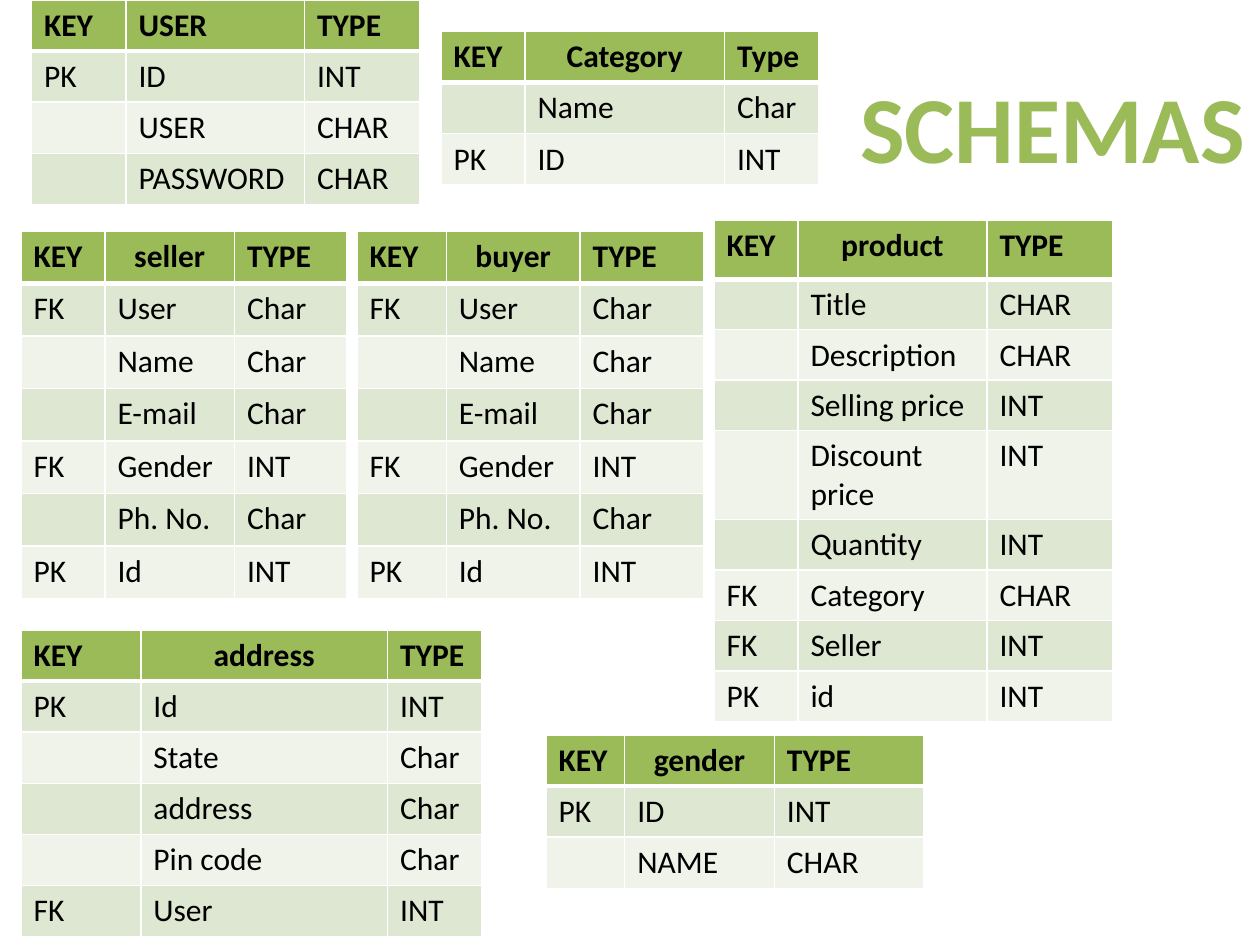
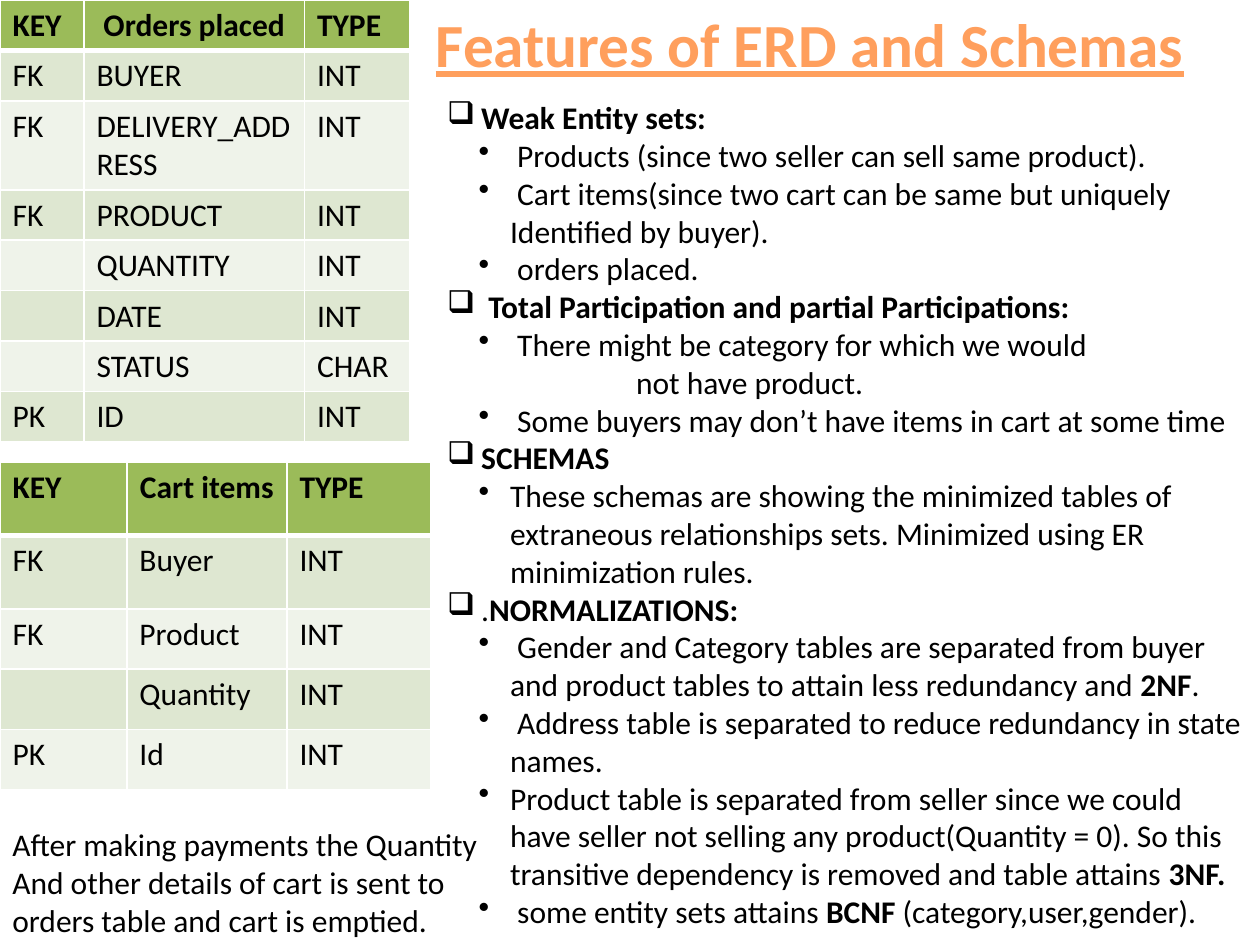
from lxml import etree
from pptx import Presentation
from pptx.dml.color import RGBColor
from pptx.enum import text as t
from pptx.oxml import ns
from pptx.util import Pt

COLORS = {
    "header": "9BBB59", "odd": "DEE7D1", "even": "EFF3EA", "border": "FFFFFF",
    "ink": "000000", "glow": "FFA367", "mid": "FF9F5D", "deep": "F38E3A",
}
FONT = "Calibri"


def style(paragraph, size=18, bold=None, color="ink"):
    for run in paragraph.runs:
        run.font.name = FONT
        run.font.size = Pt(size)
        run.font.color.rgb = RGBColor.from_string(COLORS[color])
        if bold is not None:
            run.font.bold = bold


def add_schema(slide, left, top, widths, heights, fields, name_align=t.PP_ALIGN.CENTER):
    schema = slide.shapes.add_table(len(fields), len(widths), Pt(left), Pt(top),
                                    Pt(sum(widths)), Pt(sum(heights))).table
    for column, width in zip(schema.columns, widths):
        column.width = Pt(width)
    for row, height in zip(schema.rows, heights):
        row.height = Pt(height)
    for r, field in enumerate(fields):
        band = "header" if r == 0 else "odd" if r % 2 else "even"
        for c, value in enumerate(field.split("|")):
            cell = schema.cell(r, c)
            props = cell._tc.get_or_add_tcPr()
            for side in ("lnL", "lnR", "lnT", "lnB"):
                heavy = (r == 0 and side == "lnB") or (r == 1 and side == "lnT")
                line = etree.SubElement(props, ns.qn(f"a:{side}"), w=str(Pt(3 if heavy else 1)))
                fill = etree.SubElement(line, ns.qn("a:solidFill"))
                etree.SubElement(fill, ns.qn("a:srgbClr"), val=COLORS["border"])
            cell.fill.solid()
            cell.fill.fore_color.rgb = RGBColor.from_string(COLORS[band])
            label = cell.text_frame.paragraphs[0]
            label.text = value
            style(label, bold=r == 0)
            if r == 0 and c == 1:
                label.alignment = name_align


deck = Presentation()
deck.slide_width, deck.slide_height = Pt(720), Pt(540)

pages = []
for heading, left, top, width, height, size, color in (
    ("SCHEMAS", 483, 36, 237, 72.7, 54, "header"),
    ("Features of ERD and Schemas", 240, 0, 445.7, 49.7, 35, "glow"),
):
    page = deck.slides.add_slide(deck.slide_layouts[5])
    title = page.shapes.title
    title.left, title.top, title.width, title.height = Pt(left), Pt(top), Pt(width), Pt(height)
    title.text_frame.text = heading
    title.text_frame.word_wrap = False
    title.text_frame.auto_size = t.MSO_AUTO_SIZE.SHAPE_TO_FIT_TEXT
    title.text_frame.vertical_anchor = t.MSO_ANCHOR.TOP
    title.text_frame.paragraphs[0].alignment = t.PP_ALIGN.CENTER
    style(title.text_frame.paragraphs[0], size, True, color)
    pages.append(page)
schemas, features = pages

features_run = features.shapes.title.text_frame.paragraphs[0].runs[0]
features_run.font.underline = True
features_run.font.fill.gradient()
features_run.font.fill.gradient_angle = 270
stops = features_run._r.get_or_add_rPr().find(".//" + ns.qn("a:gsLst"))
for stop in list(stops):
    stops.remove(stop)
for i, shade in enumerate(("glow", "mid", "deep", "mid", "glow")):
    stop = etree.SubElement(stops, ns.qn("a:gs"), pos=str(i * 25000))
    etree.SubElement(stop, ns.qn("a:srgbClr"), val=COLORS[shade])

person = ["FK|User|Char", "|Name|Char", "|E-mail|Char", "FK|Gender|INT",
          "|Ph. No.|Char", "PK|Id|INT"]
add_schema(schemas, 12, 360, (68.5, 141, 54), [29.2] * 6,
           ["KEY|address|TYPE", "PK|Id|INT", "|State|Char", "|address|Char",
            "|Pin code|Char", "FK|User|INT"])
add_schema(schemas, 12, 132, (48, 74, 64), [30] * 7, ["KEY|seller|TYPE"] + person)
add_schema(schemas, 204, 132, (51, 76.5, 70.5), [30] * 7, ["KEY|buyer|TYPE"] + person)
add_schema(schemas, 18, 0, (54, 102, 66), [29.2] * 4,
           ["KEY|USER|TYPE", "PK|ID|INT", "|USER|CHAR", "|PASSWORD|CHAR"], t.PP_ALIGN.LEFT)
add_schema(schemas, 252, 18, (48, 114, 54), [29.2] * 3,
           ["KEY|Category|Type", "|Name|Char", "PK|ID|INT"])
add_schema(schemas, 408, 126, (48, 108, 72), [33.6] + [28.8] * 3 + [50.8] + [28.8] * 4,
           ["KEY|product|TYPE", "|Title|CHAR", "|Description|CHAR", "|Selling price|INT",
            "|Discount price|INT", "|Quantity|INT", "FK|Category|CHAR", "FK|Seller|INT",
            "PK|id|INT"])
add_schema(schemas, 312, 420, (45, 85.5, 85.5), [29.2] * 3,
           ["KEY|gender|TYPE", "PK|ID|INT", "|NAME|CHAR"])

add_schema(features, 0, 264, (72.5, 91.5, 82), [42] * 2 + [34.4] * 3,
           ["KEY|Cart items|TYPE", "FK|Buyer|INT", "FK|Product|INT", "|Quantity|INT",
            "PK|Id|INT"])
add_schema(features, 0, 0, (48, 126, 60), [28.8] * 2 + [50.8] + [28.8] * 5,
           ["KEY|Orders placed|TYPE", "FK|BUYER|INT", "FK|DELIVERY_ADDRESS|INT",
            "FK|PRODUCT|INT", "|QUANTITY|INT", "|DATE|INT", "|STATUS|CHAR", "PK|ID|INT"])

INDENTS = {"❑": (19.5, -19.5), "•": (36, -18), "": (36, 0), "deeper": (108, 0)}
points = (
    ("❑", "*Weak Entity sets:"),
    ("•", " Products (since two seller can sell same product)."),
    ("•", " Cart items(since two cart can be same but uniquely"),
    ("", "Identified by buyer)."),
    ("•", " orders placed."),
    ("❑", " *Total Participation and partial Participations:"),
    ("•", " There might be category for which we would"),
    ("deeper", "not have product."),
    ("•", " Some buyers may don’t have items in cart at some time"),
    ("❑", "*SCHEMAS"),
    ("•", "These schemas are showing the minimized tables of extraneous relationships sets. "
          "Minimized using ER minimization rules."),
    ("❑", ".*NORMALIZATIONS:"),
    ("•", " Gender and Category tables are separated from buyer and product tables to attain "
          "less redundancy and *2NF*."),
    ("•", " Address table is separated to reduce redundancy in state names."),
    ("•", "Product table is separated from seller since we could have seller not selling any "
          "product(Quantity = 0). So this transitive dependency is removed and table attains *3NF."),
    ("•", " some entity sets attains *BCNF *(category,user,gender)."),
)
notes = features.shapes.add_textbox(Pt(248.4), Pt(52.6), Pt(471.6), Pt(487.4)).text_frame
notes.word_wrap = True
notes.auto_size = t.MSO_AUTO_SIZE.SHAPE_TO_FIT_TEXT
for i, (marker, wording) in enumerate(points):
    point = notes.add_paragraph() if i else notes.paragraphs[0]
    point.level = 0 if marker == "❑" else 1
    margin, indent = INDENTS[marker]
    props = point._p.get_or_add_pPr()
    props.set("marL", str(Pt(margin)))
    props.set("indent", str(Pt(indent)))
    if marker in ("❑", "•"):
        etree.SubElement(props, ns.qn("a:buChar"), char=marker)
    for j, part in enumerate(wording.split("*")):
        if part:
            run = point.add_run()
            run.text = part
            run.font.bold = j % 2 == 1
    style(point)

checkout = features.shapes.add_textbox(Pt(0), Pt(468), Pt(288), Pt(72.7)).text_frame
checkout.word_wrap = False
checkout.auto_size = t.MSO_AUTO_SIZE.SHAPE_TO_FIT_TEXT
checkout.text = ("After making payments the Quantity\nAnd other details of cart is sent to\n"
                 "orders table and cart is emptied.")
for sentence in checkout.paragraphs:
    style(sentence)

deck.save("out.pptx")
